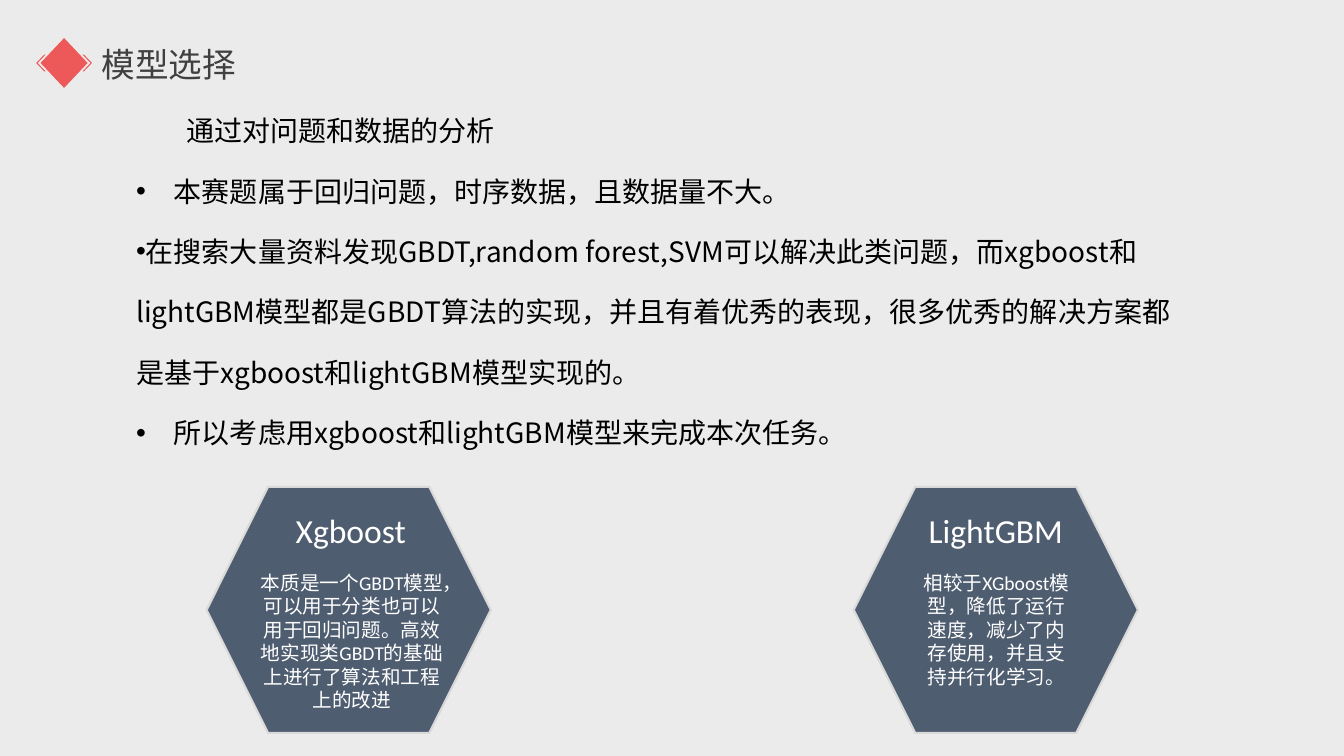
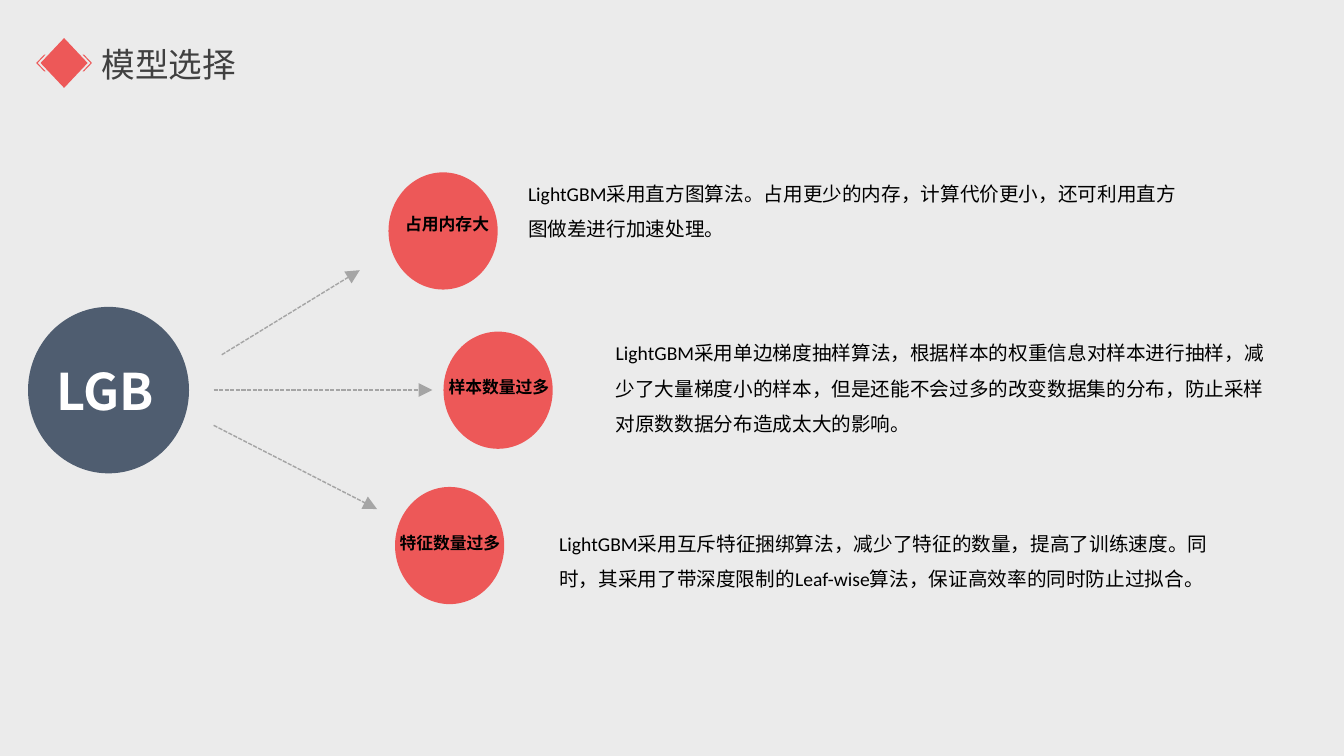
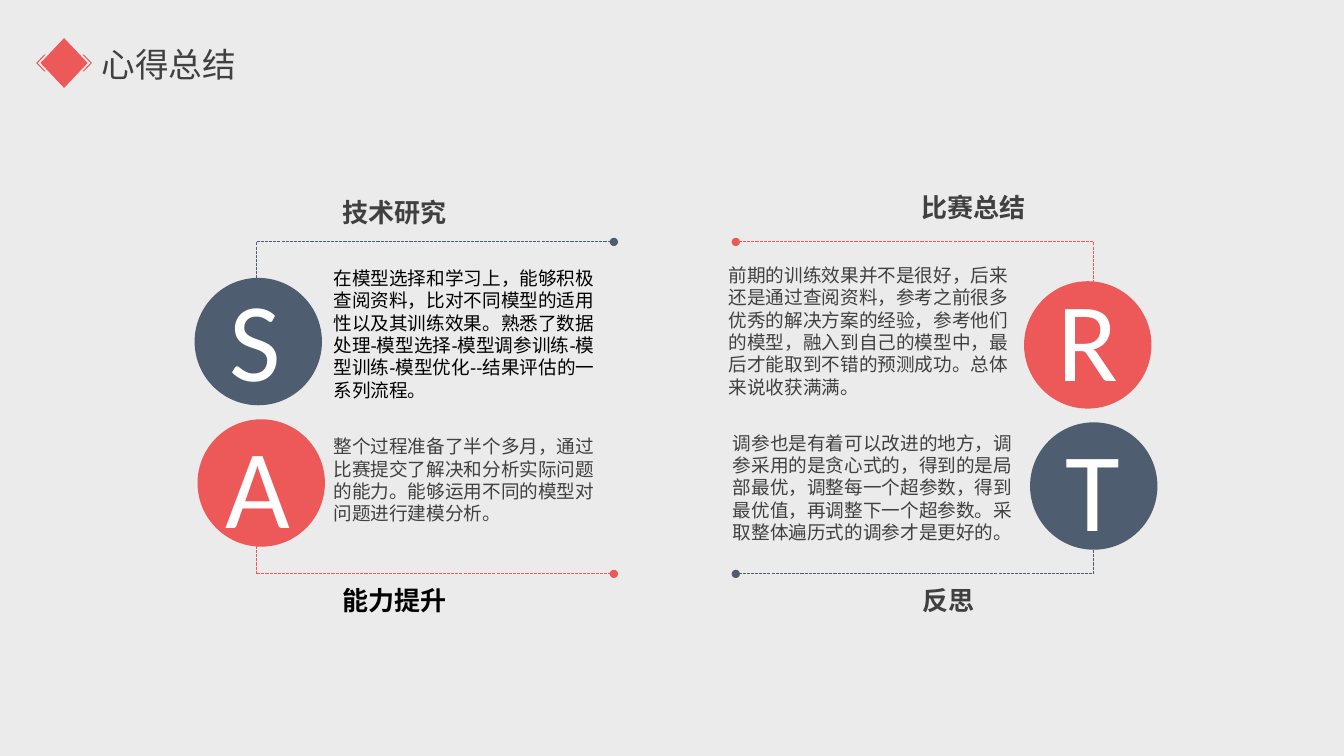
"""Build three slides on model selection and lessons learned."""
from dataclasses import dataclass
from typing import Optional

from lxml import etree
from pptx import Presentation
from pptx.dml.color import RGBColor
from pptx.enum import dml, shapes, text
from pptx.oxml import ns
from pptx.util import Pt

COLORS = {
    "background": "EBEBEB", "red": "ED5858", "slate": "4F5D70", "title": "404040",
    "black": "000000", "white": "FFFFFF", "outline": "D9D9D9", "arrow": "A5A5A5",
}
CJK = "Noto Sans CJK SC"
LATIN = "Calibri"
LEFT, CENTER, RIGHT = text.PP_ALIGN.LEFT, text.PP_ALIGN.CENTER, text.PP_ALIGN.RIGHT
TOP, MIDDLE = text.MSO_ANCHOR.TOP, text.MSO_ANCHOR.MIDDLE
Point = tuple[float, float]
Box = tuple[float, float, float, float]


@dataclass(frozen=True)
class Bullet:
    text: str
    margin: float
    indent: float
    mark: Optional[str] = "•"
    level: int = 0


@dataclass(frozen=True)
class Model:
    name: str
    summary: str
    left: float
    name_box: Box
    summary_box: Box
    space_after: float = 0


@dataclass(frozen=True)
class Problem:
    label: str
    solution: str
    circle: Point
    label_at: Point
    solution_box: Box
    arrow: tuple[Point, Point]


@dataclass(frozen=True)
class Lesson:
    letter: str
    heading: str
    detail: str
    color: str
    circle: Point
    letter_at: Point
    heading_box: Box
    detail_box: Box
    bracket: tuple[Point, Point, Point]
    align: text.PP_ALIGN = LEFT
    heading_font: str = CJK
    heading_color: str = "title"
    detail_font: str = CJK
    detail_color: str = "title"


BULLETS = [
    Bullet("通过对问题和数据的分析", 0, 36, None),
    Bullet("本赛题属于回归问题，时序数据，且数据量不大。", 27, -27),
    Bullet("在搜索大量资料发现GBDT,random forest,SVM可以解决此类问题，而xgboost和lightGBM模型都是GBDT算法的实现，"
           "并且有着优秀的表现，很多优秀的解决方案都是基于xgboost和lightGBM模型实现的。", 0, -27, level=1),
    Bullet("所以考虑用xgboost和lightGBM模型来完成本次任务。", 27, -27),
]
MODELS = [
    Model("Xgboost", "本质是一个GBDT模型，可以用于分类也可以用于回归问题。高效地实现类GBDT的基础上进行了算法和工程上的改进",
          147.6, (147.6, 360.7, 206, 36), (176.4, 403.9, 149.8, 108.7)),
    Model("LightGBM", "相较于XGboost模型，降低了运行速度，减少了内存使用，并且支持并行化学习。",
          609.8, (540, 360.7, 342.7, 36), (651.6, 403.9, 120.2, 92.2), 16),
]
PROBLEMS = [
    Problem("占用内存大", "LightGBM采用直方图算法。占用更少的内存，计算代价更小，还可利用直方图做差进行加速处理。",
            (277.5, 123.1), (289.4, 145.4), (370.1, 118.1, 480.2, 58.3),
            ((158.4, 253.4), (257, 193))),
    Problem("样本数量过多", "LightGBM采用单边梯度抽样算法，根据样本的权重信息对样本进行抽样，减少了大量梯度小的样本，"
            "但是还能不会过多的改变数据集的分布，防止采样对原数数据分布造成太大的影响。",
            (316.8, 236.9), (320.4, 262.1), (432.7, 231.8, 480.2, 83.5),
            ((152.6, 278.6), (308.9, 278.6))),
    Problem("特征数量过多", "LightGBM采用互斥特征捆绑算法，减少了特征的数量，提高了训练速度。同时，其采用了带深度限制的"
            "Leaf-wise算法，保证高效率的同时防止过拟合。",
            (282.2, 347.8), (285.4, 373.7), (392.4, 367.9, 480.2, 58.3),
            ((152.6, 303.8), (269.3, 363.6))),
]
LESSONS = [
    Lesson("S", "技术研究", "在模型选择和学习上，能够积极查阅资料，比对不同模型的适用性以及其训练效果。熟悉了数据处理-模型选择-"
           "模型调参训练-模型训练-模型优化--结果评估的一系列流程。", "slate",
           (139, 198.5), (133.9, 188.6), (237.2, 136.8, 138.2, 29.5), (231.1, 187.2, 203.8, 120.2),
           ((183, 231), (183, 172.8), (438.5, 172.8)), detail_font="Arial", detail_color="black"),
    Lesson("R", "比赛总结", "前期的训练效果并不是很好，后来还是通过查阅资料，参考之前很多优秀的解决方案的经验，参考他们的模型，"
           "融入到自己的模型中，最后才能取到不错的预测成功。总体来说收获满满。", "red",
           (731.5, 200.9), (728.6, 188.6), (601.2, 133.2, 138.2, 29.5), (513.4, 185, 222.5, 104.4),
           ((781, 231), (781, 172.8), (525.6, 172.8)), RIGHT),
    Lesson("A", "能力提升", "整个过程准备了半个多月，通过比赛提交了解决和分析实际问题的能力。能够运用不同的模型对问题进行建模分析。",
           "red", (141.1, 299.5), (135.4, 293), (237.2, 414, 138.2, 52.6), (231.1, 307.4, 203.8, 72),
           ((183, 352), (183, 409.9), (438.5, 409.9)), heading_font="Arial", heading_color="black"),
    Lesson("T", "反思", "调参也是有着可以改进的地方，调参采用的是贪心式的，得到的是局部最优，调整每一个超参数，得到最优值，"
           "再调整下一个超参数。采取整体遍历式的调参才是更好的。", "slate",
           (735.8, 301.7), (732.2, 295.2), (565.2, 414, 138.2, 29.5), (516.4, 304.6, 218.9, 87.8),
           ((781, 352), (781, 409.9), (525.6, 409.9)), RIGHT),
]


def rgb(name: str) -> RGBColor:
    return RGBColor.from_string(COLORS[name])


def move(shape, box: Box) -> None:
    shape.left, shape.top, shape.width, shape.height = map(Pt, box)


def write(paragraph, content: str, *, size: float, font: str = LATIN, color: str = "black",
          bold: bool = False, align: text.PP_ALIGN = LEFT, spacing: float = 1,
          space_after: float = 0) -> None:
    paragraph.alignment = align
    paragraph.line_spacing = spacing
    paragraph.space_before, paragraph.space_after = Pt(0), Pt(space_after)
    run = paragraph.add_run()
    run.text = content
    run.font.size, run.font.bold, run.font.name = Pt(size), bold, font
    run.font.color.rgb = rgb(color)
    etree.SubElement(run._r.get_or_add_rPr(), ns.qn("a:ea"), typeface=CJK)


def prepare_frame(shape, *, anchor=TOP, inset: bool = True):
    frame = shape.text_frame
    frame.word_wrap, frame.auto_size = True, text.MSO_AUTO_SIZE.NONE
    frame.vertical_anchor = anchor
    if not inset:
        frame.margin_left = frame.margin_right = frame.margin_top = frame.margin_bottom = Pt(0)
    return frame


def add_text(slide, box: Box, content: str, *, anchor=TOP, inset: bool = True, **style) -> None:
    shape = slide.shapes.add_textbox(*map(Pt, box))
    write(prepare_frame(shape, anchor=anchor, inset=inset).paragraphs[0], content, **style)


def fill_shape(shape, color: str, outline: Optional[str] = None) -> None:
    shape.shadow.inherit = False
    shape.fill.solid()
    shape.fill.fore_color.rgb = rgb(color)
    if outline:
        shape.line.color.rgb, shape.line.width = rgb(outline), Pt(1.5)
    else:
        shape.line.fill.background()


def add_filled(slide, kind, box: Box, color: str, outline: Optional[str] = None):
    shape = slide.shapes.add_shape(kind, *map(Pt, box))
    fill_shape(shape, color, outline)
    return shape


def dash_line(shape, color: str, width: float, ends: dict[str, dict[str, str]]) -> None:
    shape.line.color.rgb, shape.line.width = rgb(color), Pt(width)
    shape.line.dash_style = dml.MSO_LINE.SQUARE_DOT
    line = shape.element.spPr.find(ns.qn("a:ln"))
    line.find(ns.qn("a:prstDash")).set("val", "sysDash")
    for end, attributes in ends.items():
        etree.SubElement(line, ns.qn(f"a:{end}"), attributes)


def add_outline(slide, contours: list[list[Point]], close: bool):
    points = [[(Pt(x), Pt(y)) for x, y in contour] for contour in contours]
    builder = slide.shapes.build_freeform(*points[0][0])
    builder.add_line_segments(points[0][1:], close=close)
    for contour in points[1:]:
        builder.move_to(*contour[0])
        builder.add_line_segments(contour[1:], close=close)
    return builder.convert_to_shape()


def add_slide(presentation, title: str, layout: int):
    slide = presentation.slides.add_slide(presentation.slide_layouts[layout])
    chevron = [(59, 39), (60, 39), (65.7, 45), (60, 51), (59, 51), (64.7, 45)]
    mirrored = [(91.6 - x, y) for x, y in chevron]
    diamond = [(45.8, 27.2), (62.6, 45), (45.8, 62.8), (29, 45)]
    fill_shape(add_outline(slide, [chevron, mirrored, diamond], True), "red")
    move(slide.shapes.title, (65.5, 28.1, 130, 36))
    frame = prepare_frame(slide.shapes.title)
    write(frame.paragraphs[0], title, size=24, font=CJK, color="title")
    return slide


def add_bullets(shape) -> None:
    frame = prepare_frame(shape)
    for index, bullet in enumerate(BULLETS):
        paragraph = frame.add_paragraph() if index else frame.paragraphs[0]
        paragraph.level = bullet.level
        write(paragraph, bullet.text, size=20, font=CJK, spacing=1.8)
        properties = paragraph._p.get_or_add_pPr()
        properties.set("marL", str(Pt(bullet.margin)))
        properties.set("indent", str(Pt(bullet.indent)))
        if bullet.mark:
            etree.SubElement(properties, ns.qn("a:buFont"), typeface="Arial")
            etree.SubElement(properties, ns.qn("a:buChar"), char=bullet.mark)
        else:
            etree.SubElement(properties, ns.qn("a:buNone"))


def build_models(presentation) -> None:
    slide = add_slide(presentation, "模型选择", 1)
    body = slide.placeholders[1]
    move(body, (90, 58.3, 769.7, 322.6))
    add_bullets(body)
    for model in MODELS:
        hexagon = add_filled(slide, shapes.MSO_SHAPE.HEXAGON, (model.left, 347.8, 203, 175.7),
                             "slate", "outline")
        hexagon.adjustments[0] = 0.25
        add_text(slide, model.name_box, model.name, size=24, color="white", align=CENTER)
        add_text(slide, model.summary_box, model.summary, size=14, color="white", align=CENTER,
                 space_after=model.space_after)


def build_problems(presentation) -> None:
    slide = add_slide(presentation, "模型选择", 5)
    add_filled(slide, shapes.MSO_SHAPE.OVAL, (20, 219.2, 115, 118.9), "slate")
    add_text(slide, (33.1, 253.4, 87.8, 51.1), "LGB", size=36, font=CJK, color="white", bold=True)
    arrowhead = {"tailEnd": {"type": "triangle", "w": "lg", "len": "lg"}}
    for problem in PROBLEMS:
        start, end = problem.arrow
        arrow = slide.shapes.add_connector(shapes.MSO_CONNECTOR.STRAIGHT, *map(Pt, start + end))
        dash_line(arrow, "arrow", 1, arrowhead)
        etree.SubElement(arrow.element.spPr, ns.qn("a:effectLst"))
        add_filled(slide, shapes.MSO_SHAPE.OVAL, (*problem.circle, 78, 83.7), "red")
        add_text(slide, (*problem.label_at, 121.7, 21.6), problem.label, inset=False,
                 size=12, font=CJK, bold=True, spacing=1.5)
        add_text(slide, problem.solution_box, problem.solution, size=14, spacing=1.5)


def build_lessons(presentation) -> None:
    slide = add_slide(presentation, "心得总结", 5)
    dots = {end: {"type": "oval"} for end in ("headEnd", "tailEnd")}
    for lesson in LESSONS:
        bracket = add_outline(slide, [list(lesson.bracket)], False)
        bracket.shadow.inherit = False
        bracket.fill.background()
        dash_line(bracket, lesson.color, 0, dots)
        add_filled(slide, shapes.MSO_SHAPE.OVAL, (*lesson.circle, 91, 91), lesson.color)
        add_text(slide, lesson.heading_box, lesson.heading, size=18.6, font=lesson.heading_font,
                 color=lesson.heading_color, bold=True, align=lesson.align)
        add_text(slide, lesson.detail_box, lesson.detail, size=13.3, font=lesson.detail_font,
                 color=lesson.detail_color)
        add_text(slide, (*lesson.letter_at, 97.2, 104.4), lesson.letter, anchor=MIDDLE,
                 size=80, color="white", align=CENTER)


def main() -> None:
    presentation = Presentation()
    presentation.slide_width, presentation.slide_height = Pt(960), Pt(540)
    background = presentation.slide_master.background.fill
    background.solid()
    background.fore_color.rgb = rgb("background")
    build_models(presentation)
    build_problems(presentation)
    build_lessons(presentation)
    presentation.save("out.pptx")


if __name__ == "__main__":
    main()
